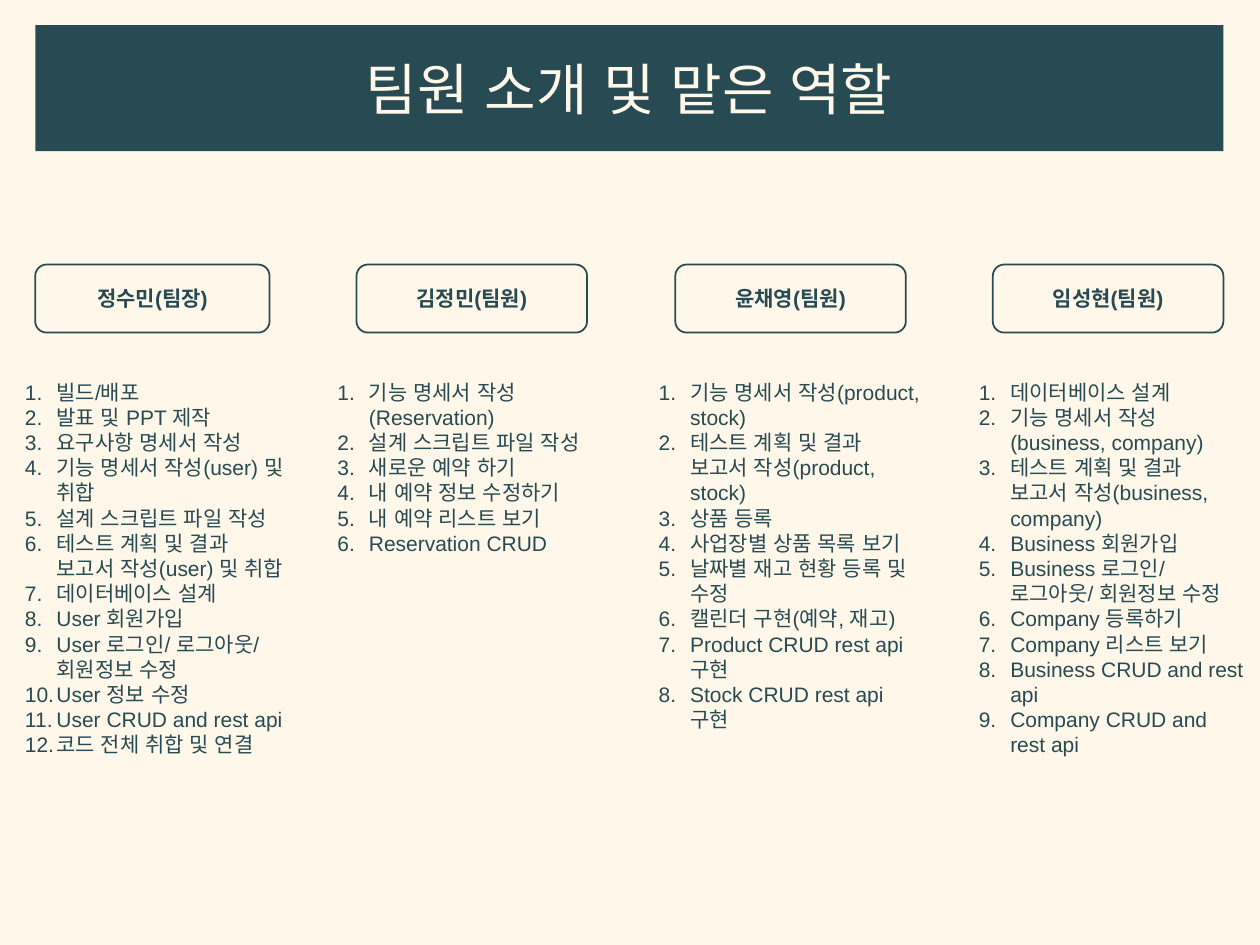
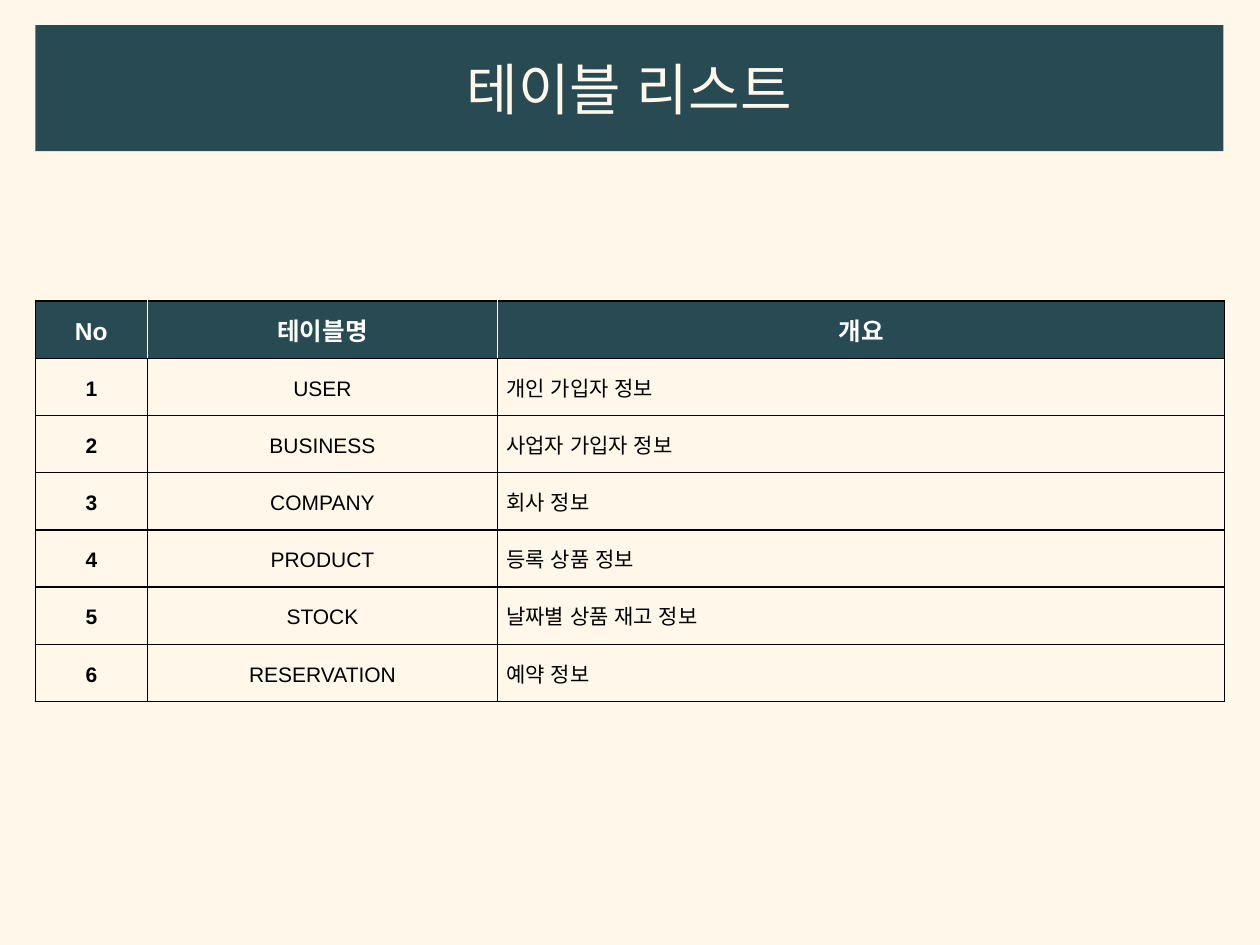
"""Build two slides: the team members with their roles, and the list of database tables."""
from collections import namedtuple

from lxml.etree import SubElement
from pptx import Presentation
from pptx.dml.color import RGBColor
from pptx.enum.shapes import MSO_SHAPE as Shape
from pptx.enum.text import MSO_ANCHOR as Anchor, MSO_AUTO_SIZE as AutoSize, PP_ALIGN as Align
from pptx.oxml.ns import qn
from pptx.util import Inches, Pt

COLORS = {"cream": "FFF7EA", "teal": "284B53", "white": "FFFFFF", "black": "000000"}
FONT = "Arial"
MARGIN, CONTENT_WIDTH = 0.28, 9.43

Member = namedtuple("Member", "name label_left label_width list_left tasks")
MEMBERS = [
    Member("정수민(팀장)", 0.28, 1.86, 0.1, [
        "빌드/배포",
        "발표 및 PPT 제작",
        "요구사항 명세서 작성",
        "기능 명세서 작성(user) 및 취합",
        "설계 스크립트 파일 작성",
        "테스트 계획 및 결과 보고서 작성(user) 및 취합",
        "데이터베이스 설계",
        "User 회원가입",
        "User 로그인/ 로그아웃/ 회원정보 수정",
        "User 정보 수정",
        "User CRUD and rest api",
        "코드 전체 취합 및 연결",
    ]),
    Member("김정민(팀원)", 2.83, 1.83, 2.58, [
        "기능 명세서 작성(Reservation)",
        "설계 스크립트 파일 작성",
        "새로운 예약 하기",
        "내 예약 정보 수정하기",
        "내 예약 리스트 보기",
        "Reservation CRUD",
    ]),
    Member("윤채영(팀원)", 5.36, 1.83, 5.13, [
        "기능 명세서 작성(product, stock)",
        "테스트 계획 및 결과 보고서 작성(product, stock)",
        "상품 등록",
        "사업장별 상품 목록 보기",
        "날짜별 재고 현황 등록 및 수정",
        "캘린더 구현(예약, 재고)",
        "Product CRUD rest api 구현",
        "Stock CRUD rest api 구현",
    ]),
    Member("임성현(팀원)", 7.88, 1.83, 7.67, [
        "데이터베이스 설계",
        "기능 명세서 작성(business, company)",
        "테스트 계획 및 결과 보고서 작성(business, company)",
        "Business 회원가입",
        "Business 로그인/ 로그아웃/ 회원정보 수정",
        "Company 등록하기",
        "Company 리스트 보기",
        "Business CRUD and rest api",
        "Company CRUD and rest api",
    ]),
]

TABLE_HEADER = ("No", "테이블명", "개요")
TABLE_COLUMNS = (0.89, 2.78, 5.77)
TABLE_HEIGHT = 3.18
TABLES = [
    ("USER", "개인 가입자 정보"),
    ("BUSINESS", "사업자 가입자 정보"),
    ("COMPANY", "회사 정보"),
    ("PRODUCT", "등록 상품 정보"),
    ("STOCK", "날짜별 상품 재고 정보"),
    ("RESERVATION", "예약 정보"),
]


def color(name):
    return RGBColor.from_string(COLORS[name])


def paint(item, name):
    item.fill.solid()
    item.fill.fore_color.rgb = color(name)


def add_span(para, text, size, color_name, bold=False):
    span = para.add_run()
    span.text = text
    font = span.font
    font.name, font.size, font.bold = FONT, Pt(size), bold
    font.color.rgb = color(color_name)
    SubElement(font._element, qn("a:ea"), typeface=FONT)


def add_titled_slide(deck, text):
    page = deck.slides.add_slide(deck.slide_layouts[5])
    title = page.shapes.title
    title.left, title.top = Inches(MARGIN), Inches(0.2)
    title.width, title.height = Inches(CONTENT_WIDTH), Inches(1)
    outline = SubElement(title.element.spPr, qn("a:prstGeom"), prst="roundRect")
    SubElement(outline, qn("a:avLst"))
    paint(title, "teal")
    frame = title.text_frame
    frame.auto_size, frame.vertical_anchor = AutoSize.NONE, Anchor.MIDDLE
    para = frame.paragraphs[0]
    para.alignment = Align.CENTER
    add_span(para, text, 32, "cream")
    return page


def add_name_label(page, member):
    label = page.shapes.add_shape(
        Shape.ROUNDED_RECTANGLE, Inches(member.label_left), Inches(2.1),
        Inches(member.label_width), Inches(0.54))
    label.shadow.inherit = False
    paint(label, "cream")
    label.line.color.rgb = color("teal")
    label.line.width = Pt(1)
    label.text_frame.vertical_anchor = Anchor.MIDDLE
    para = label.text_frame.paragraphs[0]
    para.alignment = Align.CENTER
    add_span(para, member.name, 12, "teal", bold=True)


def number_paragraph(para):
    properties = para._p.get_or_add_pPr()
    properties.set("marL", str(Inches(0.25)))
    properties.set("indent", str(-Inches(0.25)))
    SubElement(properties, qn("a:buFont"), typeface="+mj-lt")
    SubElement(properties, qn("a:buAutoNum"), type="arabicPeriod")


def add_task_list(page, member):
    box = page.shapes.add_textbox(
        Inches(member.list_left), Inches(2.96), Inches(2.3), Inches(3.33))
    frame = box.text_frame
    frame.word_wrap, frame.auto_size = True, AutoSize.SHAPE_TO_FIT_TEXT
    for index, task in enumerate(member.tasks):
        para = frame.add_paragraph() if index else frame.paragraphs[0]
        number_paragraph(para)
        add_span(para, task, 12, "teal")


def set_borders(cell, left="black", right="black"):
    properties = cell._tc.get_or_add_tcPr()
    sides = {"a:lnL": left, "a:lnR": right, "a:lnT": "black", "a:lnB": "black"}
    for position, (side, name) in enumerate(sides.items()):
        line = SubElement(properties, qn(side), w=str(Pt(1)))
        fill = SubElement(line, qn("a:solidFill"))
        SubElement(fill, qn("a:srgbClr"), val=COLORS[name])
        properties.insert(position, line)


def fill_cell(cell, text, fill, size, text_color, bold, alignment):
    paint(cell, fill)
    cell.vertical_anchor = Anchor.MIDDLE
    cell.margin_left = cell.margin_right = Inches(0.07)
    cell.margin_top = cell.margin_bottom = 0
    para = cell.text_frame.paragraphs[0]
    para.alignment, para.line_spacing, para.space_after = alignment, 1.15, Pt(10)
    add_span(para, text, size, text_color, bold)


def add_overview_table(page):
    rows = [(str(number), *entry) for number, entry in enumerate(TABLES, 1)]
    table = page.shapes.add_table(
        len(rows) + 1, len(TABLE_HEADER), Inches(MARGIN), Inches(2.39),
        Inches(CONTENT_WIDTH), Inches(TABLE_HEIGHT)).table
    for column, width in zip(table.columns, TABLE_COLUMNS):
        column.width = Inches(width)
    last = len(TABLE_HEADER) - 1
    for index, text in enumerate(TABLE_HEADER):
        cell = table.cell(0, index)
        fill_cell(cell, text, "teal", 14, "white", True, Align.CENTER)
        set_borders(cell, left="white" if index else "black",
                    right="white" if index < last else "black")
    for row_index, row in enumerate(rows, 1):
        for index, text in enumerate(row):
            cell = table.cell(row_index, index)
            alignment = Align.JUSTIFY if index == last else Align.CENTER
            fill_cell(cell, text, "cream", 12, "black", index == 0, alignment)
            set_borders(cell)


def main():
    deck = Presentation()
    deck.slide_width, deck.slide_height = Inches(10), Inches(7.5)
    paint(deck.slide_master.background, "cream")

    team_page = add_titled_slide(deck, "팀원 소개 및 맡은 역할")
    for member in MEMBERS:
        add_name_label(team_page, member)
        add_task_list(team_page, member)

    table_page = add_titled_slide(deck, "테이블 리스트")
    add_overview_table(table_page)

    deck.save("out.pptx")


if __name__ == "__main__":
    main()
